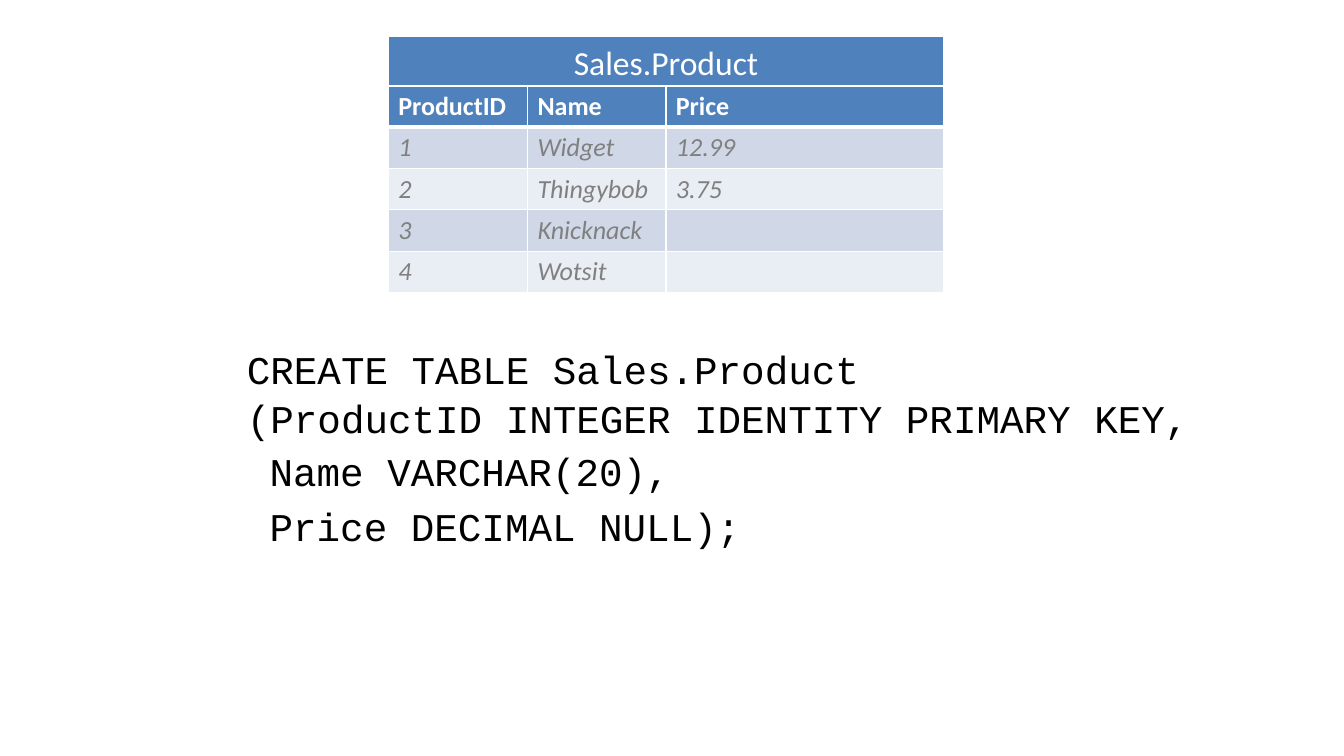
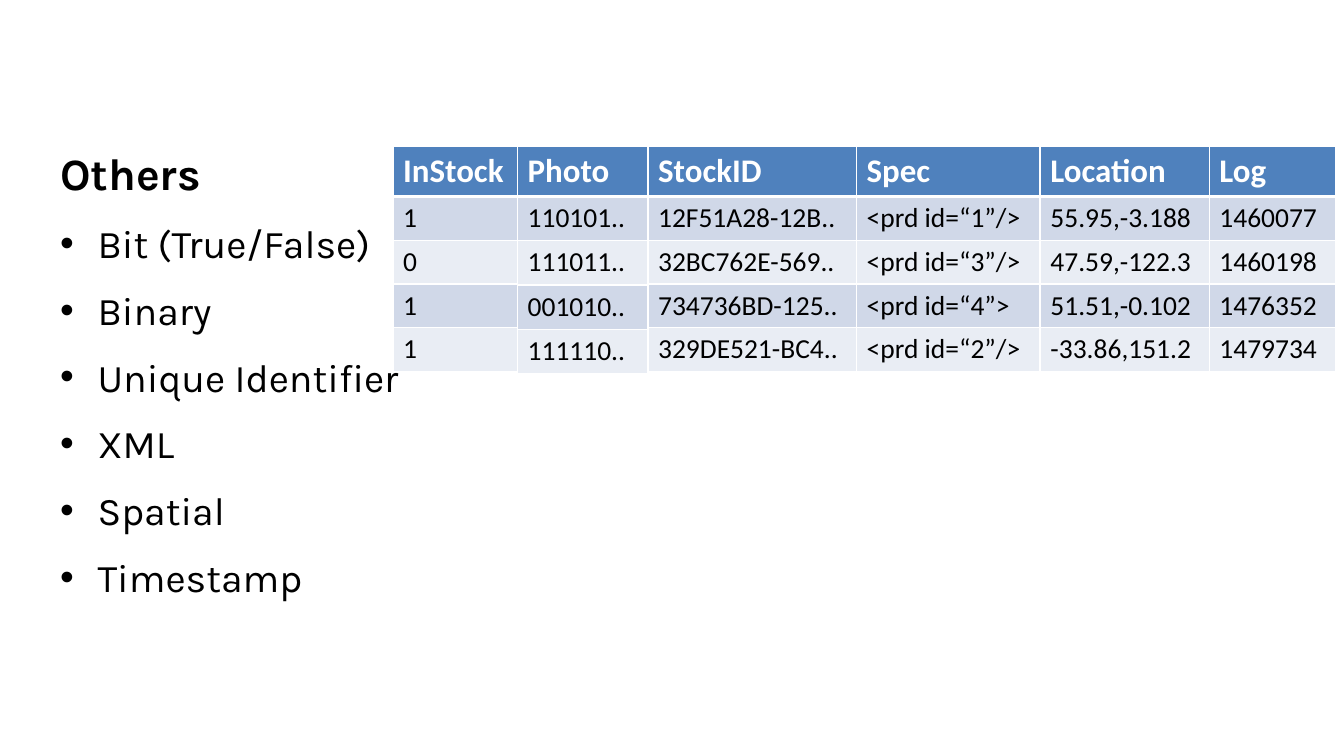
from lxml import etree
from pptx import Presentation
from pptx.dml.color import RGBColor
from pptx.enum.shapes import MSO_SHAPE
from pptx.enum.text import MSO_AUTO_SIZE, PP_ALIGN
from pptx.oxml.ns import qn
from pptx.util import Inches, Pt

RECTANGLE = MSO_SHAPE.RECTANGLE
FIT_SHAPE = MSO_AUTO_SIZE.SHAPE_TO_FIT_TEXT
CENTER = PP_ALIGN.CENTER

BLUE = RGBColor(0x4F, 0x81, 0xBD)
BAND_DARK = RGBColor(0xD0, 0xD8, 0xE8)
BAND_LIGHT = RGBColor(0xE9, 0xED, 0xF4)
WHITE = RGBColor(0xFF, 0xFF, 0xFF)
BLACK = RGBColor(0, 0, 0)
GRAY = RGBColor(0x80, 0x80, 0x80)
TABLE_FONT, CODE_FONT, BODY_FONT = "Calibri", "Courier New", "Karla"

# Content of the product slide
TABLE_NAME = "Sales.Product"
PRODUCT_LEFT, PRODUCT_TOP, PRODUCT_HEIGHT = 3.93, 0.87, 2.09
PRODUCT_WIDTHS = [1.41, 1.4, 2.81]
PRODUCTS = [
    ("ProductID", "Name", "Price"),
    ("1", "Widget", "12.99"),
    ("2", "Thingybob", "3.75"),
    ("3", "Knicknack", ""),
    ("4", "Wotsit", ""),
]
# Code lines: text, left, top, width, height
CODE = [
    ("CREATE TABLE Sales.Product", 2.4, 3.44, 6.45, 0.58),
    ("(ProductID INTEGER IDENTITY PRIMARY KEY,", 2.4, 3.94, 10, 0.59),
    ("Name VARCHAR(20),", 2.63, 4.48, 4.37, 0.59),
    ("Price DECIMAL NULL);", 2.63, 5.03, 5.01, 0.58),
]

# Content of the data types slide
HEADING = "Others"
DATA_TYPES = ["Bit (True/False)", "Binary", "Unique Identifier",
              "XML", "Spatial", "Timestamp"]
# One table per data type: left, width, height, header and values
TYPE_COLUMNS = [
    (3.98, 1.26, 2.28, ["InStock", "1", "0", "1", "1"]),
    (5.24, 1.31, 2.3, ["Photo", "110101..", "111011..", "001010..",
                       "111110.."]),
    (6.56, 2.12, 2.28, ["StockID", "12F51A28-12B..", "32BC762E-569..",
                        "734736BD-125..", "329DE521-BC4.."]),
    (8.67, 1.85, 2.28, ["Spec", "<prd id=“1”/>", "<prd id=“3”/>",
                        "<prd id=“4”>", "<prd id=“2”/>"]),
    (10.53, 1.71, 2.28, ["Location", "55.95,-3.188", "47.59,-122.3",
                         "51.51,-0.102", "-33.86,151.2"]),
    (12.24, 1.27, 2.28, ["Log", "1460077", "1460198", "1476352",
                         "1479734"]),
]
TYPE_HEADER_HEIGHT = 0.51


def add_span(para, text, font, size, color, bold=False, italic=False):
    span = para.add_run()
    span.text = text
    span.font.name = font
    span.font.size = Pt(size)
    span.font.color.rgb = color
    span.font.bold = bold
    span.font.italic = italic


def set_borders(cell, row):
    """White rules, with a heavy one between header and body."""
    widths = {"lnL": 1, "lnR": 1, "lnT": 3 if row == 1 else 1,
              "lnB": 3 if row == 0 else 1}
    properties = cell._tc.get_or_add_tcPr()
    for side, width in widths.items():
        line = etree.SubElement(properties, qn("a:" + side), w=str(Pt(width)))
        fill = etree.SubElement(line, qn("a:solidFill"))
        etree.SubElement(fill, qn("a:srgbClr"), val=str(WHITE))


def add_banded_table(page, left, top, widths, heights, rows,
                     header_size, body_size, body_color, italic=False):
    table = page.shapes.add_table(
        len(rows), len(widths), Inches(left), Inches(top),
        Inches(sum(widths)), Inches(sum(heights))).table
    for column, width in zip(table.columns, widths):
        column.width = Inches(width)
    for r, (values, height) in enumerate(zip(rows, heights)):
        table.rows[r].height = Inches(height)
        is_header = r == 0
        band = BAND_DARK if r % 2 else BAND_LIGHT
        for c, text in enumerate(values):
            cell = table.cell(r, c)
            set_borders(cell, r)
            cell.fill.solid()
            cell.fill.fore_color.rgb = BLUE if is_header else band
            para = cell.text_frame.paragraphs[0]
            if text and is_header:
                add_span(para, text, TABLE_FONT, header_size, WHITE, bold=True)
            elif text:
                add_span(para, text, TABLE_FONT, body_size, body_color,
                         italic=italic)


def add_product_table(page, widths, rows):
    heights = [PRODUCT_HEIGHT / len(rows)] * len(rows)
    add_banded_table(page, PRODUCT_LEFT, PRODUCT_TOP, widths, heights, rows,
                     19, 19, GRAY, italic=True)


def add_name_band(page):
    box = page.shapes.add_shape(
        RECTANGLE, Inches(PRODUCT_LEFT), Inches(0.37),
        Inches(sum(PRODUCT_WIDTHS)), Inches(0.52))
    box.shadow.inherit = False
    box.fill.solid()
    box.fill.fore_color.rgb = BLUE
    box.line.color.rgb = WHITE
    box.line.width = Pt(0.75)
    box.text_frame.auto_size = FIT_SHAPE
    para = box.text_frame.paragraphs[0]
    para.alignment = CENTER
    add_span(para, TABLE_NAME, TABLE_FONT, 24.5, WHITE)


def add_code(page, text, left, top, width, height):
    box = page.shapes.add_textbox(Inches(left), Inches(top),
                                  Inches(width), Inches(height))
    box.text_frame.word_wrap = False
    box.text_frame.auto_size = FIT_SHAPE
    add_span(box.text_frame.paragraphs[0], text, CODE_FONT, 28.6, BLACK)


def add_bullet(para):
    properties = para._p.get_or_add_pPr()
    properties.set("marL", str(Inches(0.38)))
    properties.set("indent", str(-Inches(0.38)))
    etree.SubElement(properties, qn("a:buFont"), typeface="Arial")
    etree.SubElement(properties, qn("a:buChar"), char="•")


def build_product_page(page):
    # Empty table with its name band
    add_product_table(page, [sum(PRODUCT_WIDTHS)], [("",)] * len(PRODUCTS))
    add_name_band(page)

    # The table grows by one column at each step
    for count in range(1, len(PRODUCT_WIDTHS) + 1):
        add_product_table(page, PRODUCT_WIDTHS[:count],
                          [row[:count] for row in PRODUCTS])

    # SQL statement
    for line in CODE:
        add_code(page, *line)


def build_types_page(page):
    # Bulleted list of data types
    box = page.shapes.add_textbox(Inches(0.51), Inches(1.43),
                                  Inches(4.43), Inches(5.82))
    frame = box.text_frame
    frame.word_wrap = True
    para = frame.paragraphs[0]
    para.space_before = Pt(14.3)
    add_span(para, HEADING, BODY_FONT, 32.6, BLACK, bold=True)
    for text in DATA_TYPES:
        para = frame.add_paragraph()
        para.space_before = Pt(14.3)
        add_bullet(para)
        add_span(para, text, BODY_FONT, 28.6, BLACK)

    # Sample columns side by side
    for left, width, height, values in TYPE_COLUMNS:
        body_count = len(values) - 1
        body_height = (height - TYPE_HEADER_HEIGHT) / body_count
        heights = [TYPE_HEADER_HEIGHT] + [body_height] * body_count
        add_banded_table(page, left, 1.48, [width], heights,
                         [(value,) for value in values], 24, 20, BLACK)


def main():
    deck = Presentation()
    deck.slide_width, deck.slide_height = Inches(13.6), Inches(7.65)
    blank = deck.slide_layouts[6]
    for build in (build_product_page, build_types_page):
        build(deck.slides.add_slide(blank))
    deck.save("out.pptx")


if __name__ == "__main__":
    main()
